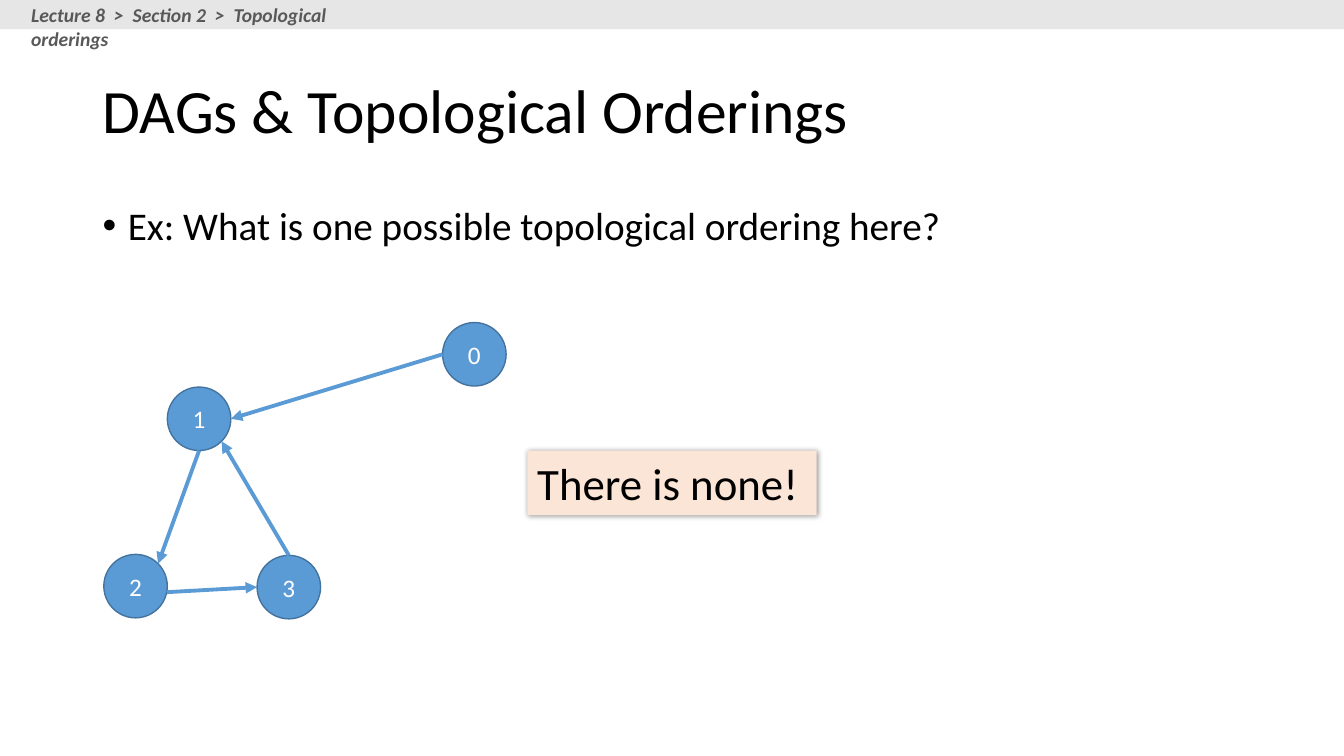
from dataclasses import dataclass
from math import cos, radians, sin

from lxml.etree import SubElement
from pptx import Presentation
from pptx.dml.color import RGBColor
from pptx.enum.shapes import MSO_CONNECTOR, MSO_SHAPE
from pptx.enum.text import MSO_ANCHOR, PP_ALIGN
from pptx.oxml.ns import qn
from pptx.util import Inches, Pt


@dataclass(frozen=True)
class Theme:
    """Colours, font and type sizes of the lecture."""
    font: str = "Calibri"
    text: str = "000000"
    light: str = "FFFFFF"
    muted: str = "595959"
    node: str = "5B9BD5"
    outline: str = "43739E"
    answer: str = "FBE5D6"
    bar: str = "E7E6E6"
    title_size: int = 44
    answer_size: int = 32
    body_size: int = 28
    node_size: int = 18
    crumb_size: int = 14


class GraphPage:
    """A lecture page with text, boxes and a directed graph."""

    diameter = 0.63

    def __init__(self, deck, theme):
        """Add a title-only page to the deck."""
        self.theme = theme
        self.page = deck.slides.add_slide(deck.slide_layouts[5])
        self.centers = {}

    def fill_text(self, shape, text, size, color, frame_format=None, para_format=None, **font_format):
        """Put one formatted paragraph into a shape."""
        frame = shape.text_frame
        for name, value in {"word_wrap": True, **(frame_format or {})}.items():
            setattr(frame, name, value)
        para = frame.paragraphs[0]
        for name, value in {"alignment": PP_ALIGN.LEFT, **(para_format or {})}.items():
            setattr(para, name, value)
        span = para.add_run()
        span.text = text
        font_values = {"name": self.theme.font, "size": Pt(size), **font_format}
        for name, value in font_values.items():
            setattr(span.font, name, value)
        span.font.color.rgb = RGBColor.from_string(color)
        return para

    def title(self, text, left, top, width, height):
        """Place and fill the title placeholder."""
        box = self.page.shapes.title
        place = {"left": left, "top": top, "width": width, "height": height}
        for name, value in place.items():
            setattr(box, name, Inches(value))
        self.fill_text(box, text, self.theme.title_size, self.theme.text,
                       {"vertical_anchor": MSO_ANCHOR.MIDDLE}, {"line_spacing": 0.9})

    def text(self, text, area, size, color, **formats):
        """Add a text box and return its paragraph."""
        box = self.page.shapes.add_textbox(*map(Inches, area))
        return self.fill_text(box, text, size, color, **formats)

    def bullet(self, text, area):
        """Add a bulleted body line."""
        para = self.text(text, area, self.theme.body_size, self.theme.text,
                         para_format={"line_spacing": 0.9, "space_before": Pt(10)})
        properties = para._p.get_or_add_pPr()
        properties.set("marL", str(Inches(0.25)))
        properties.set("indent", str(Inches(-0.25)))
        SubElement(properties, qn("a:buFont"), typeface="Arial")
        SubElement(properties, qn("a:buChar"), char="•")

    def shape(self, kind, area, fill, outline=None):
        """Add a filled preset shape."""
        shape = self.page.shapes.add_shape(kind, *map(Inches, area))
        shape.shadow.inherit = False
        shape.fill.solid()
        shape.fill.fore_color.rgb = RGBColor.from_string(fill)
        if outline:
            shape.line.color.rgb = RGBColor.from_string(outline)
            shape.line.width = Pt(1)
        else:
            shape.line.fill.background()
        return shape

    def answer(self, text, area):
        """Add a shaded answer box with a soft shadow."""
        box = self.shape(MSO_SHAPE.RECTANGLE, area, self.theme.answer)
        effects = box._element.spPr.find(qn("a:effectLst"))
        shadow = SubElement(effects, qn("a:outerShdw"), blurRad=str(Pt(4)), dist=str(Pt(1)),
                            dir="2700000", algn="tl", rotWithShape="0")
        color = SubElement(shadow, qn("a:srgbClr"), val=self.theme.text)
        SubElement(color, qn("a:alpha"), val="40000")
        self.fill_text(box, text, self.theme.answer_size, self.theme.text,
                       {"vertical_anchor": MSO_ANCHOR.TOP})

    def node(self, label, left, top):
        """Add a labelled graph node."""
        area = (left, top, self.diameter, self.diameter)
        circle = self.shape(MSO_SHAPE.OVAL, area, self.theme.node, self.theme.outline)
        self.fill_text(circle, label, self.theme.node_size, self.theme.light,
                       {"vertical_anchor": MSO_ANCHOR.MIDDLE}, {"alignment": PP_ALIGN.CENTER})
        self.centers[label] = (left + self.diameter / 2, top + self.diameter / 2)

    def rim(self, label, degrees):
        """Return the point on a node's rim, clockwise from the right."""
        x, y = self.centers[label]
        radius = self.diameter / 2
        angle = radians(degrees)
        return Inches(x + radius * cos(angle)), Inches(y + radius * sin(angle))

    def edge(self, source, source_angle, target, target_angle):
        """Add an arrow between the rims of two nodes."""
        arrow = self.page.shapes.add_connector(
            MSO_CONNECTOR.STRAIGHT, *self.rim(source, source_angle), *self.rim(target, target_angle))
        arrow.line.color.rgb = RGBColor.from_string(self.theme.node)
        arrow.line.width = Pt(2.75)
        properties = arrow._element.spPr
        SubElement(properties.find(qn("a:ln")), qn("a:tailEnd"), type="triangle")
        SubElement(properties, qn("a:effectLst"))


def main():
    """Build and save the topological orderings slide."""
    deck = Presentation()
    deck.slide_width, deck.slide_height = Inches(13.33), Inches(7.5)
    theme = Theme()
    page = GraphPage(deck, theme)
    page.title("DAGs & Topological Orderings", 0.92, 0.4, 11.5, 1.45)
    page.bullet("Ex: What is one possible topological ordering here?", (0.92, 2, 11.5, 4.76))

    nodes = {"1": (1.66, 3.84), "3": (2.55, 5.51), "2": (1.03, 5.5), "0": (4.39, 3.2)}
    for label, corner in nodes.items():
        page.node(label, *corner)
    edges = [("0", 180, "1", 0), ("1", 90, "2", -45), ("2", 11, "3", 180), ("3", -90, "1", 45)]
    for edge in edges:
        page.edge(*edge)

    page.answer("There is none!", (5.23, 4.47, 2.87, 0.64))
    page.shape(MSO_SHAPE.RECTANGLE, (0, 0, 13.33, 0.29), theme.bar)
    page.text("Lecture 8  >  Section 2  >  Topological orderings", (0.21, -0.02, 3.87, 0.34),
              theme.crumb_size, theme.muted, bold=True, italic=True)
    deck.save("out.pptx")


if __name__ == "__main__":
    main()
